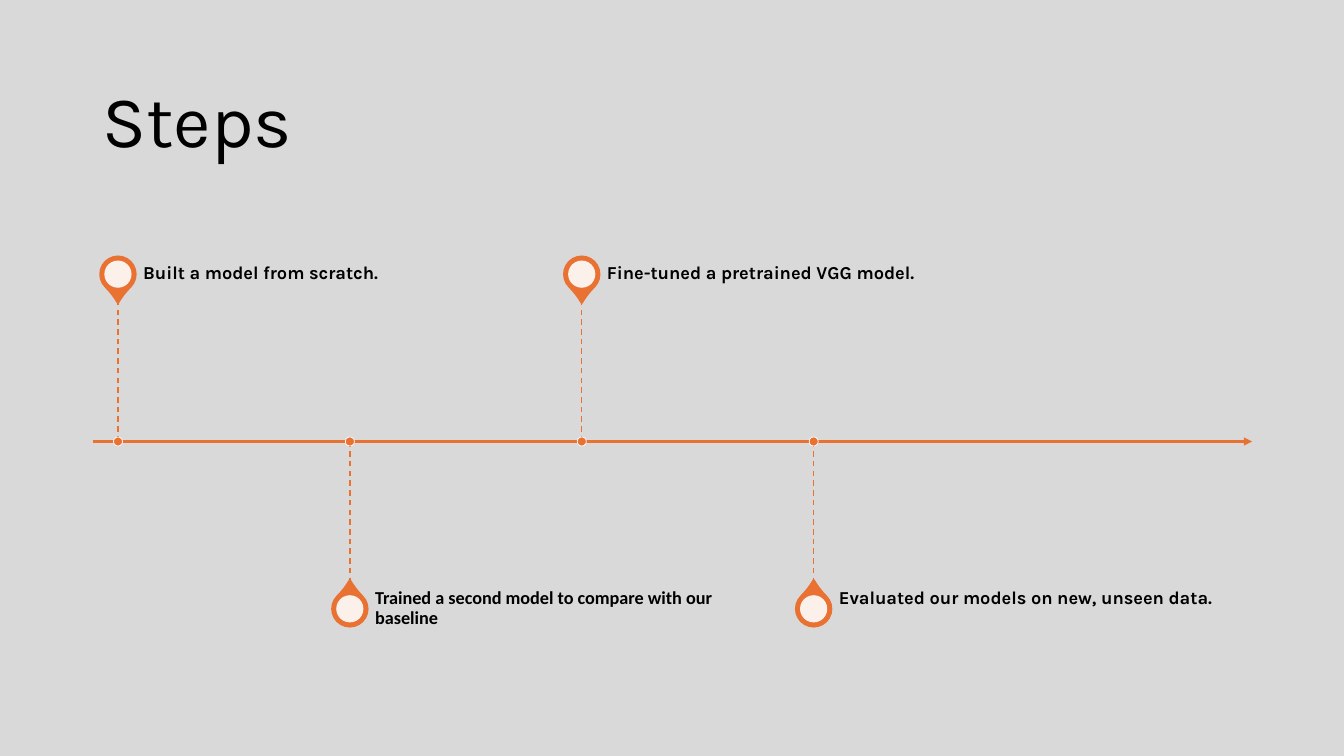
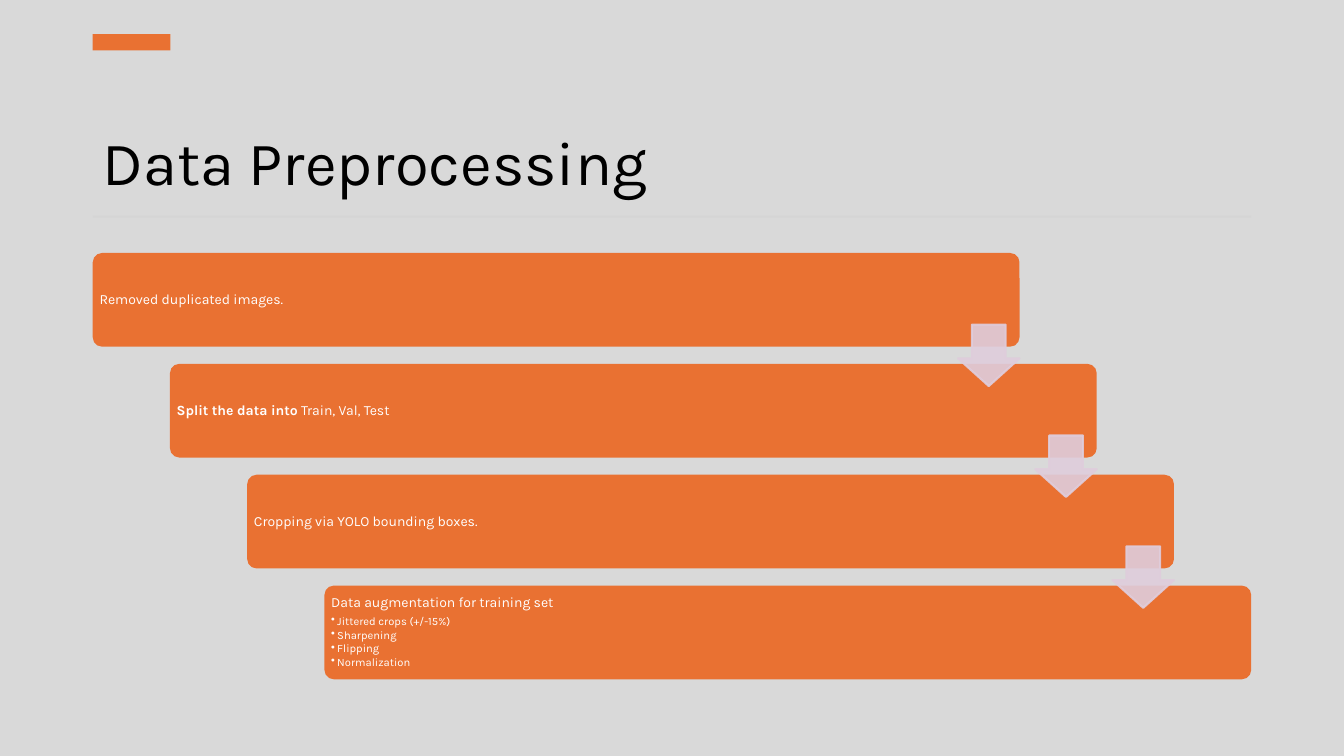
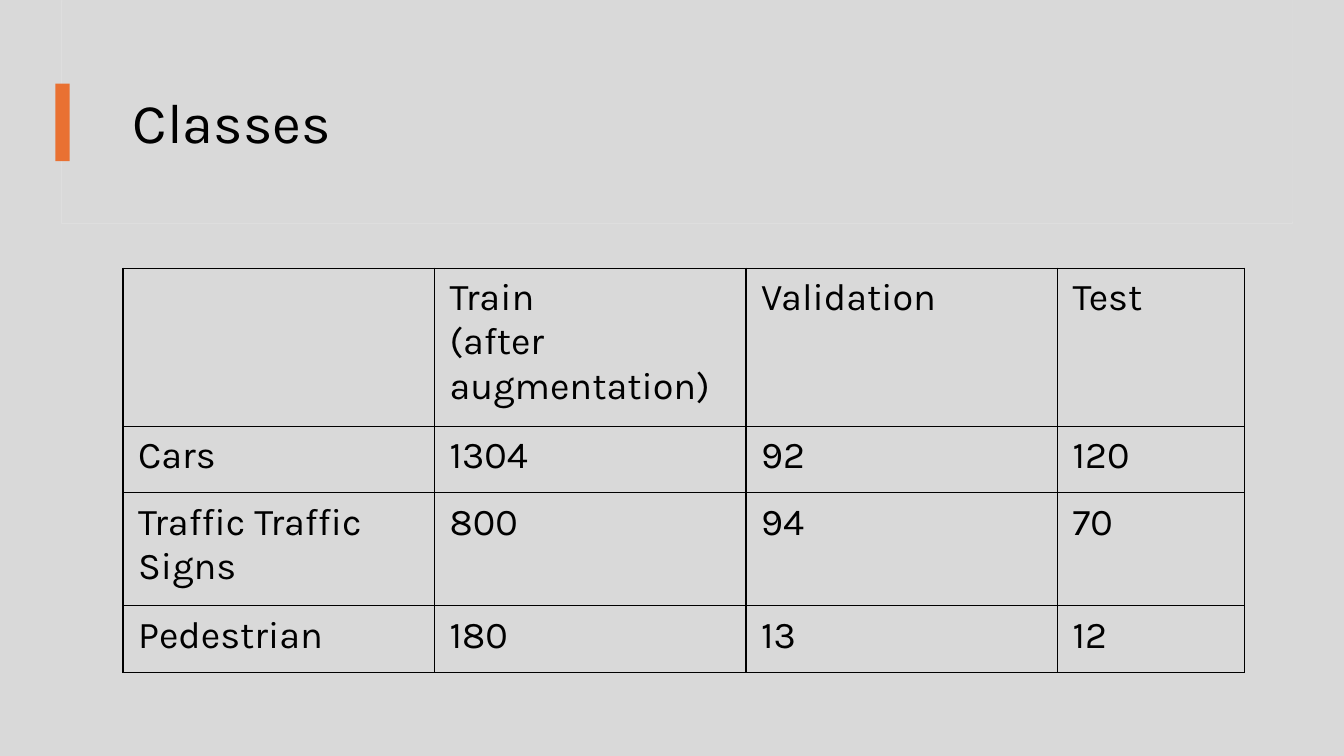
"""Build three slides: project steps, data preprocessing and class counts."""
from dataclasses import dataclass

from lxml import etree
from pptx import Presentation
from pptx.dml.color import RGBColor
from pptx.enum import dml, shapes, text
from pptx.oxml import parse_xml
from pptx.oxml.ns import nsdecls, qn
from pptx.util import Inches, Pt


@dataclass(frozen=True)
class Theme:
    width: float = 13.33
    height: float = 7.5
    margin: float = 0.92
    content: float = 11.49
    background: str = "D9D9D9"
    accent: str = "E97132"
    ink: str = "000000"
    white: str = "FFFFFF"
    rule: str = "D5D5D5"
    panel_edge: str = "DEDEDE"
    arrow: str = "DFCDDC"
    font: str = "Karla"
    alternate_font: str = "Calibri"
    label_size: int = 13
    card_size: int = 10
    bullet_size: int = 8
    table_size: int = 27


THEME = Theme()

STEPS = [
    {"label": "Built a model from scratch."},
    {"label": "Trained a second model to compare with our baseline", "font": THEME.alternate_font},
    {"label": "Fine-tuned a pretrained VGG model."},
    {"label": "Evaluated our models on new, unseen data.", "lift": 0.2},
]

CARDS = [
    {"runs": [("Removed duplicated images.", False)]},
    {"runs": [("Split the data into ", True), ("Train, Val, Test", False)]},
    {"runs": [("Cropping via YOLO bounding boxes.", False)]},
    {
        "runs": [("Data augmentation for training set", False)],
        "bullets": ["Jittered crops (+/-15%)", "Sharpening", "Flipping", "Normalization"],
    },
]

CLASS_ROWS = [
    ["", "Train\v(after augmentation)", "Validation", "Test"],
    ["Cars", "1304", "92", "120"],
    ["Traffic Traffic Signs", "800", "94", "70"],
    ["Pedestrian", "180", "13", "12"],
]
COLUMN_WIDTHS = [3.09, 3.09, 3.09, 1.85]
ROW_HEIGHTS = [1.57, 0.66, 1.12, 0.66]


def rgb(color):
    return RGBColor.from_string(color)


def set_alpha(properties, percent):
    for color in properties.iter(qn("a:srgbClr")):
        etree.SubElement(color, qn("a:alpha")).set("val", str(percent * 1000))


def add_shape(slide, kind, box, fill, line=None, weight=1.0, adjustments=()):
    shape = slide.shapes.add_shape(kind, *map(Inches, box))
    shape.shadow.inherit = False
    shape.fill.solid()
    shape.fill.fore_color.rgb = rgb(fill)
    if line:
        shape.line.color.rgb = rgb(line)
        shape.line.width = Pt(weight)
    else:
        shape.line.fill.background()
    for index, value in enumerate(adjustments):
        shape.adjustments[index] = value
    return shape


def add_line(slide, start, end, weight, dashed=False, arrow=False):
    connector = slide.shapes.add_connector(
        shapes.MSO_CONNECTOR.STRAIGHT, *map(Inches, (*start, *end)))
    connector.line.color.rgb = rgb(THEME.accent)
    connector.line.width = Pt(weight)
    if dashed:
        connector.line.dash_style = dml.MSO_LINE.DASH
    if arrow:
        outline = connector._element.spPr.find(qn("a:ln"))
        etree.SubElement(outline, qn("a:tailEnd")).set("type", "triangle")
    etree.SubElement(connector._element.spPr, qn("a:effectLst"))


def set_frame(frame, insets, anchor):
    frame.word_wrap = True
    frame.vertical_anchor = anchor
    frame.margin_left, frame.margin_top, frame.margin_right, frame.margin_bottom = map(Inches, insets)


def style(runs, size, color, font=THEME.font, bold=False):
    for run in runs:
        run.font.size = Pt(size)
        run.font.name = font
        run.font.bold = bold
        run.font.color.rgb = rgb(color)


def add_text(slide, box, content, size, insets, anchor=text.MSO_ANCHOR.MIDDLE,
             font=THEME.font, bold=False):
    frame = slide.shapes.add_textbox(*map(Inches, box)).text_frame
    set_frame(frame, insets, anchor)
    frame.text = content
    paragraph = frame.paragraphs[0]
    paragraph.line_spacing = 0.9
    style(paragraph.runs, size, THEME.ink, font, bold)


def add_title(slide, box, content, size, anchor=text.MSO_ANCHOR.MIDDLE):
    add_text(slide, box, content, size, (0.1, 0.05, 0.1, 0.05), anchor)


def add_centered(slide, kind, center, size, *options, **settings):
    box = (center[0] - size / 2, center[1] - size / 2, size, size)
    return add_shape(slide, kind, box, *options, **settings)


def build_steps(slide):
    axis, span = 4.38, 11.5
    add_title(slide, (THEME.margin, 0.61, span, 1.24), "Steps", 52)
    add_line(slide, (THEME.margin, axis), (THEME.margin + span, axis), 1.5, arrow=True)
    for index, step in enumerate(STEPS):
        side = 1 if index % 2 else -1
        x = THEME.margin + 0.25 + index * span / 5
        y = axis + side * 1.66
        pin = add_centered(slide, shapes.MSO_SHAPE.TEAR, (x, y), 0.35,
                           THEME.accent, THEME.accent, 1.5, adjustments=[1.15])
        pin.rotation = 315 if side > 0 else 135
        hole = add_centered(slide, shapes.MSO_SHAPE.OVAL, (x, y), 0.27, THEME.white)
        set_alpha(hole._element.spPr, 90)
        add_text(slide, (x + 0.25, y - 0.25, 3.82, 0.49), step["label"], THEME.label_size,
                 (0, 0, 0.09, step.get("lift", 0)), font=step.get("font", THEME.font), bold=True)
        add_line(slide, (x, axis), (x, axis + side * 1.4), 1, dashed=True)
        add_centered(slide, shapes.MSO_SHAPE.OVAL, (x, axis), 0.09, THEME.accent, THEME.white, 0.5)


def add_bullet(frame, content):
    paragraph = frame.add_paragraph()
    paragraph.text = content
    properties = paragraph._p.get_or_add_pPr()
    properties.set("marL", str(Inches(0.06)))
    properties.set("indent", str(-Inches(0.06)))
    etree.SubElement(properties, qn("a:buChar")).set("char", "•")
    style(paragraph.runs, THEME.bullet_size, THEME.white)
    return paragraph


def fill_card(frame, card):
    set_frame(frame, (0.04,) * 4, text.MSO_ANCHOR.MIDDLE)
    heading = frame.paragraphs[0]
    for content, bold in card["runs"]:
        run = heading.add_run()
        run.text = content
        style([run], THEME.card_size, THEME.white, bold=bold)
    bullets = [add_bullet(frame, content) for content in card.get("bullets", [])]
    for paragraph in [heading, *bullets]:
        paragraph.alignment = text.PP_ALIGN.LEFT
        paragraph.line_spacing = 0.9
        paragraph.space_after = Pt(3.5 if paragraph is heading else 1.2)


def build_preprocessing(slide):
    left, span = THEME.margin, THEME.content
    rectangle = shapes.MSO_SHAPE.RECTANGLE
    add_title(slide, (left, 0.75, span, 1.27), "Data Preprocessing", 44, text.MSO_ANCHOR.BOTTOM)
    add_shape(slide, rectangle, (left, 0.34, 0.77, 0.16), THEME.accent)
    add_shape(slide, rectangle, (left, 2.14, span, 0.02), THEME.rule)
    width, height, arrow = span * 0.8, 0.93, 0.61
    shift = (span - width) / (len(CARDS) - 1)
    corners = [(left + index * shift, 2.51 + index * 1.1) for index in range(len(CARDS))]
    for (x, y), card in zip(corners, CARDS):
        shape = add_shape(slide, shapes.MSO_SHAPE.ROUNDED_RECTANGLE, (x, y, width, height),
                          THEME.accent, adjustments=[0.1])
        fill_card(shape.text_frame, card)
    for x, y in corners[:-1]:
        shape = add_shape(slide, shapes.MSO_SHAPE.DOWN_ARROW,
                          (x + width - arrow, y + 0.71, arrow, arrow),
                          THEME.arrow, THEME.arrow, 1.5, [0.55, 0.45])
        set_alpha(shape._element.spPr, 90)


def set_borders(cell, color, weight):
    properties = cell._tc.get_or_add_tcPr()
    for index, side in enumerate(("lnL", "lnR", "lnT", "lnB")):
        properties.insert(index, parse_xml(
            f'<a:{side} {nsdecls("a")} w="{Pt(weight)}"><a:solidFill>'
            f'<a:srgbClr val="{color}"/></a:solidFill></a:{side}>'))


def build_classes(slide):
    rectangle = shapes.MSO_SHAPE.RECTANGLE
    add_shape(slide, rectangle, (0.61, 0.01, 12.21, 2.21), THEME.background, THEME.panel_edge, 0.75)
    add_shape(slide, rectangle, (0.62, 0, 12.2, 2.2), THEME.background)
    add_title(slide, (1.22, 0.6, 11.12, 1.29), "Classes", 40)
    add_shape(slide, rectangle, (0.55, 0.83, 0.14, 0.77), THEME.accent)
    box = (1.22, 2.66, sum(COLUMN_WIDTHS), sum(ROW_HEIGHTS))
    table = slide.shapes.add_table(len(CLASS_ROWS), len(COLUMN_WIDTHS), *map(Inches, box)).table
    table.first_row = table.horz_banding = False
    for column, width in zip(table.columns, COLUMN_WIDTHS):
        column.width = Inches(width)
    for row, height, values in zip(table.rows, ROW_HEIGHTS, CLASS_ROWS):
        row.height = Inches(height)
        for cell, value in zip(row.cells, values):
            cell.fill.background()
            set_borders(cell, THEME.ink, 1)
            cell.margin_left = cell.margin_right = Inches(0.15)
            cell.margin_top = cell.margin_bottom = Inches(0.08)
            cell.text_frame.text = value
            style(cell.text_frame.paragraphs[0].runs, THEME.table_size, THEME.ink)


def main():
    presentation = Presentation()
    presentation.slide_width = Inches(THEME.width)
    presentation.slide_height = Inches(THEME.height)
    background = presentation.slide_master.background.fill
    background.solid()
    background.fore_color.rgb = rgb(THEME.background)
    for build in (build_steps, build_preprocessing, build_classes):
        build(presentation.slides.add_slide(presentation.slide_layouts[6]))
    presentation.save("out.pptx")


if __name__ == "__main__":
    main()
